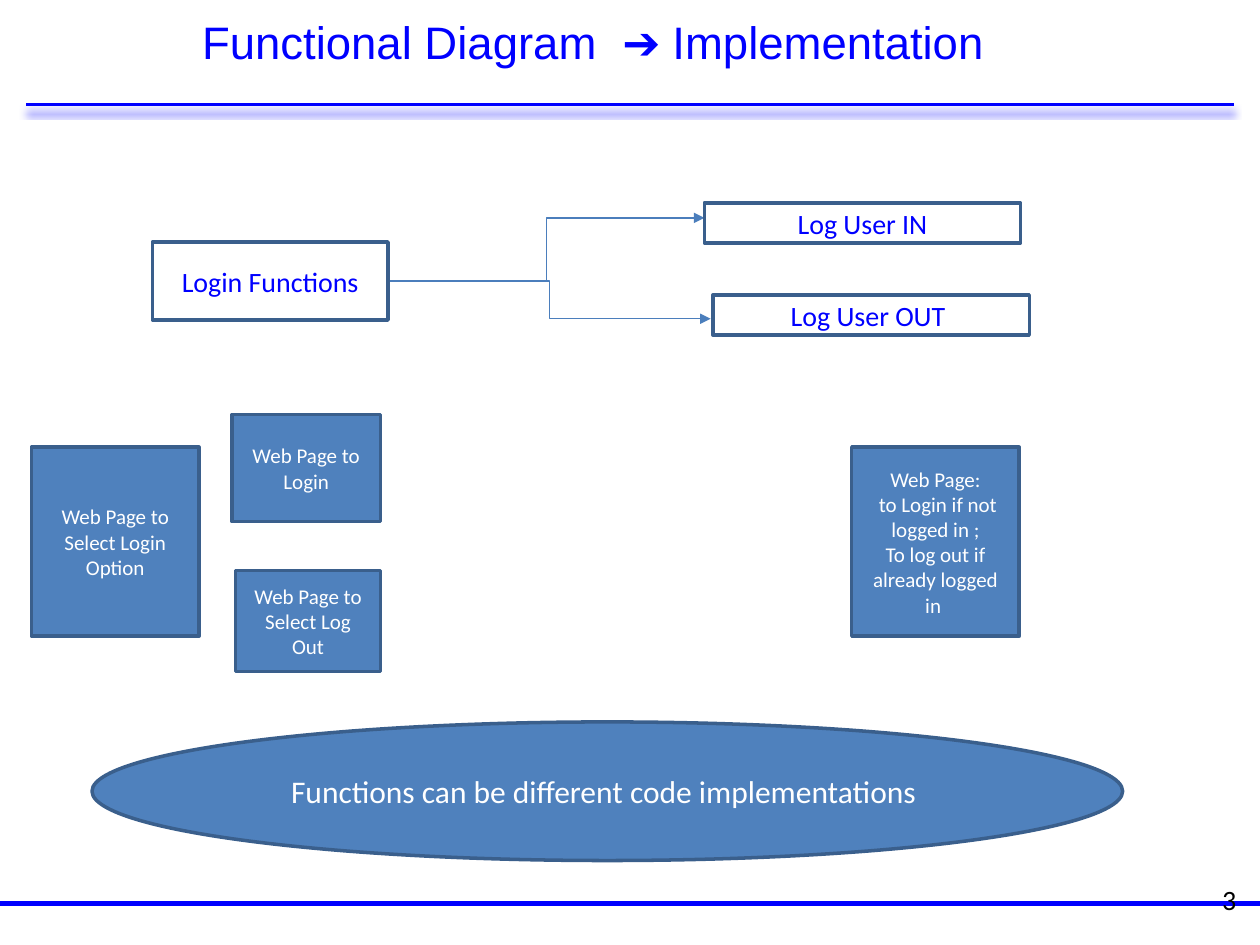
"""Build the slide that takes login functions from diagram to implementation."""
from pptx import Presentation
from pptx.dml.color import RGBColor
from pptx.enum.shapes import MSO_CONNECTOR, MSO_SHAPE
from pptx.enum.text import MSO_ANCHOR, PP_ALIGN
from pptx.oxml import parse_xml
from pptx.oxml.ns import nsdecls
from pptx.util import Inches, Pt

RECT, OVAL = MSO_SHAPE.RECTANGLE, MSO_SHAPE.OVAL
LINE, ELBOW = MSO_CONNECTOR.STRAIGHT, MSO_CONNECTOR.ELBOW
MIDDLE = MSO_ANCHOR.MIDDLE
CENTER, RIGHT = PP_ALIGN.CENTER, PP_ALIGN.RIGHT

BLUE = RGBColor(0x00, 0x00, 0xFF)
STEEL = RGBColor(0x4F, 0x81, 0xBD)
EDGE = RGBColor(0x3A, 0x5F, 0x8C)
ARROW = RGBColor(0x4B, 0x7E, 0xBC)
WHITE = RGBColor(0xFF, 0xFF, 0xFF)
BLACK = RGBColor(0x00, 0x00, 0x00)

SHADOW = (
    '<a:outerShdw blurRad="50800" dist="50800" dir="5400000" algn="ctr" rotWithShape="0">'
    '<a:srgbClr val="0000FF"/></a:outerShdw>'
)


def write(shape, text, size=16, color=BLUE, font="Calibri", align=CENTER):
    frame = shape.text_frame
    frame.word_wrap = True
    frame.vertical_anchor = MIDDLE
    frame.text = text
    for para in frame.paragraphs:
        para.alignment = align
        for run in para.runs:
            run.font.size = Pt(size)
            run.font.name = font
            run.font.color.rgb = color


def connect(kind, start, end, color, width, effect=""):
    link = slide.shapes.add_connector(kind, *map(Inches, start + end))
    link.line.color.rgb = color
    link.line.width = Pt(width)
    link._element.spPr.append(
        parse_xml(f'<a:effectLst {nsdecls("a")}>{effect}</a:effectLst>')
    )
    return link


prs = Presentation()
prs.slide_width, prs.slide_height = Inches(10), Inches(7.5)
slide = prs.slides.add_slide(prs.slide_layouts[6])

connect(LINE, (0, 7.17), (10, 7.17), BLUE, 2.75)
connect(LINE, (0.21, 0.83), (9.79, 0.83), BLUE, 1.5, SHADOW)

title = slide.shapes.add_textbox(*map(Inches, (0.17, 0.08, 9.08, 0.5)))
write(title, "Functional Diagram  ➔ Implementation", size=26, font="Arial")
number = slide.shapes.add_textbox(*map(Inches, (7.88, 6.95, 2.03, 0.37)))
write(number, "3", color=BLACK, align=RIGHT)

for end in ((5.59, 1.73), (5.64, 2.53)):
    link = connect(ELBOW, (3.08, 2.23), end, ARROW, 0.75)
    link.line._get_or_add_ln().append(
        parse_xml(f'<a:tailEnd {nsdecls("a")} type="triangle"/>')
    )

boxes = [
    (RECT, (1.21, 1.92, 1.87, 0.62), "Login Functions", 16, None),
    (RECT, (5.59, 1.61, 2.51, 0.32), "Log User IN", 16, None),
    (RECT, (5.66, 2.34, 2.51, 0.32), "Log User OUT ", 16, None),
    (OVAL, (0.73, 5.73, 8.18, 1.1),
     "Functions can be different code implementations ", 18, STEEL),
    (RECT, (0.25, 3.55, 1.33, 1.5), "Web Page to Select Login Option", 12, STEEL),
    (RECT, (1.87, 4.53, 1.15, 0.8), "Web Page to Select Log Out", 12, STEEL),
    (RECT, (1.84, 3.29, 1.18, 0.85), "Web Page to Login", 12, STEEL),
    (RECT, (6.76, 3.55, 1.33, 1.5),
     "Web Page:\n to Login if not logged in ;\nTo log out if already logged in ",
     12, STEEL),
]
for kind, place, text, size, fill in boxes:
    box = slide.shapes.add_shape(kind, *map(Inches, place))
    box.shadow.inherit = False
    box.line.color.rgb = EDGE
    box.line.width = Pt(2)
    if fill:
        box.fill.solid()
        box.fill.fore_color.rgb = fill
    else:
        box.fill.background()
    write(box, text, size=size, color=WHITE if fill else BLUE)

prs.save("out.pptx")
